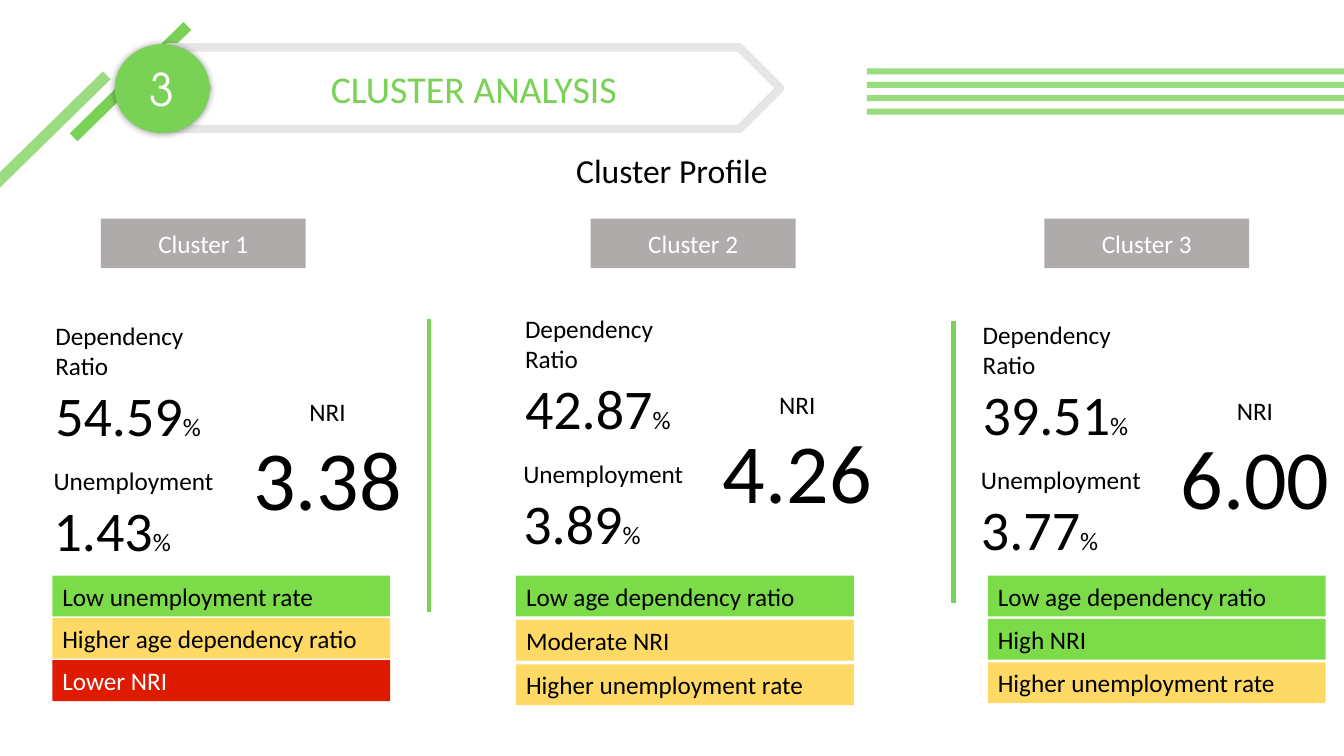
import pptx
import pptx.util
import pptx.dml.color
import pptx.enum.shapes
import pptx.enum.text
import pptx.oxml
import pptx.oxml.ns

SHAPE = pptx.enum.shapes.MSO_SHAPE
ALIGN = pptx.enum.text.PP_ALIGN
MIDDLE = pptx.enum.text.MSO_ANCHOR.MIDDLE
NAMESPACE = pptx.oxml.ns.nsdecls("a")
GREEN, LIME, YELLOW, RED = "79D155", "7CDB49", "FFD966", "DE1A00"
WHITE, BLACK, GRAY, SILVER = "FFFFFF", "000000", "AFABAB", "E7E6E6"

presentation = pptx.Presentation()
presentation.slide_width = pptx.util.Inches(13.33)
presentation.slide_height = pptx.util.Inches(7.5)
column = presentation.slide_width / 40
row = presentation.slide_height / 30
slide = presentation.slides.add_slide(presentation.slide_layouts[5])


def color(value):
    return pptx.dml.color.RGBColor.from_string(value)


def add_block(kind, left, top, width, height, fill=None, lines=(), ink=BLACK,
              align=ALIGN.LEFT, font="Calibri"):
    place = [int(left * column), int(top * row), int(width * column), int(height * row)]
    if kind is None:
        shape = slide.shapes.add_textbox(*place)
    else:
        shape = slide.shapes.add_shape(kind, *place)
        shape.shadow.inherit = False
        shape.fill.solid()
        shape.fill.fore_color.rgb = color(fill)
        shape.line.fill.background()
        shape.text_frame.vertical_anchor = MIDDLE
    frame = shape.text_frame
    frame.word_wrap = True
    for index, runs in enumerate(lines):
        paragraph = frame.add_paragraph() if index else frame.paragraphs[0]
        paragraph.alignment = align
        paragraph.font.name = font
        paragraph.font.color.rgb = color(ink)
        for text, size in runs:
            run = paragraph.add_run()
            run.text = text
            run.font.size = pptx.util.Pt(size)
    return shape


pale_ribbon = add_block(SHAPE.RECTANGLE, 1.32, 2.04, 0.33, 6.32, GREEN)
ribbon = add_block(SHAPE.RECTANGLE, 3.72, 0.08, 0.33, 6.32, GREEN)
pale_ribbon.rotation = ribbon.rotation = 45.6

chevron = add_block(SHAPE.CHEVRON, 4.98, 1.88, 18.24, 3.24, WHITE)
chevron.line.color.rgb = color(SILVER)
chevron.line.width = pptx.util.Pt(6)

title = slide.shapes.title
title.left, title.top = chevron.left, chevron.top
title.width, title.height = chevron.width, chevron.height
title.text_frame.text = "CLUSTER ANALYSIS"
title.text_frame.vertical_anchor = MIDDLE
heading = title.text_frame.paragraphs[0]
heading.alignment = ALIGN.CENTER
heading.font.name = "Calibri"
heading.font.size = pptx.util.Pt(27)
heading.font.color.rgb = color(GREEN)
chevron.element.addnext(title.element)

badge = add_block(SHAPE.FLOWCHART_CONNECTOR, 3.54, 1.92, 2.58, 3.2, GREEN,
                  [[("3", 32)]], WHITE, ALIGN.CENTER, "TeX Gyre Adventor")
badge.line.color.rgb = color(GREEN)
badge.line.width = pptx.util.Pt(6)
effects = badge.element.spPr.find(pptx.oxml.ns.qn("a:effectLst"))
effects.append(pptx.oxml.parse_xml(
    f'<a:outerShdw {NAMESPACE} blurRad="63500" dist="0" dir="0">'
    '<a:srgbClr val="000000"><a:alpha val="40000"/></a:srgbClr></a:outerShdw>'))

stripes = [add_block(SHAPE.RECTANGLE, 25.8, 2.72 + 0.53 * index, 14.2, 0.24, GREEN)
           for index in range(4)]
for shape, alpha in [(pale_ribbon, 74)] + [(stripe, 76) for stripe in stripes]:
    fill_color = shape.element.spPr.find(".//" + pptx.oxml.ns.qn("a:srgbClr"))
    fill_color.append(pptx.oxml.parse_xml(f'<a:alpha {NAMESPACE} val="{alpha * 1000}"/>'))

add_block(None, 13.89, 5.76, 12.21, 2, lines=[[("Cluster Profile", 24)]], align=ALIGN.CENTER)

for x, top, bottom in [(12.78, 12.64, 24.28), (28.38, 12.72, 23.92)]:
    divider = slide.shapes.add_connector(
        pptx.enum.shapes.MSO_CONNECTOR.STRAIGHT,
        int(x * column), int(top * row), int(x * column), int(bottom * row))
    divider.line.color.rgb = color(GREEN)
    divider.line.width = pptx.util.Pt(3)
    divider.element.spPr.append(pptx.oxml.parse_xml(f"<a:effectLst {NAMESPACE}/>"))

clusters = [
    ("Cluster 1", 3, 1.35, 12.52, ("54.59", "1.43", "3.38"), 1.56, 1.68,
     [("Low unemployment rate", LIME), ("Higher age dependency ratio", YELLOW),
      ("Lower NRI", RED)]),
    ("Cluster 2", 17.58, 15.33, 12.24, ("42.87", "3.89", "4.26"), 15.36, 1.76,
     [("Low age dependency ratio", LIME), ("Moderate NRI", YELLOW),
      ("Higher unemployment rate", YELLOW)]),
    ("Cluster 3", 31.08, 28.95, 12.48, ("39.51", "3.77", "6.00"), 29.4, 1.72,
     [("Low age dependency ratio", LIME), ("High NRI", LIME),
      ("Higher unemployment rate", YELLOW)]),
]
for name, label_left, left, top, values, trait_left, trait_step, traits in clusters:
    dependency, unemployment, readiness = values
    add_block(SHAPE.RECTANGLE, label_left, 8.68, 6.1, 1.96, GRAY,
              [[(name, 18)]], WHITE, ALIGN.CENTER)
    add_block(None, left, top, 5.1, 5.52,
              lines=[[("Dependency Ratio", 18)], [(dependency, 40), ("%", 18)]])
    add_block(None, left - 0.05, top + 5.76, 5.4, 4.32,
              lines=[[("Unemployment", 18)], [(unemployment, 40), ("%", 18)]])
    add_block(None, left + 5.7, top + 3, 5.4, 5.64,
              lines=[[("NRI", 18)], [(readiness, 60)]], align=ALIGN.CENTER)
    for index, (trait, fill) in enumerate(traits):
        add_block(SHAPE.RECTANGLE, trait_left, 22.84 + trait_step * index, 10.05, 1.62,
                  fill, [[(trait, 18)]], WHITE if fill == RED else BLACK)

presentation.save("out.pptx")
